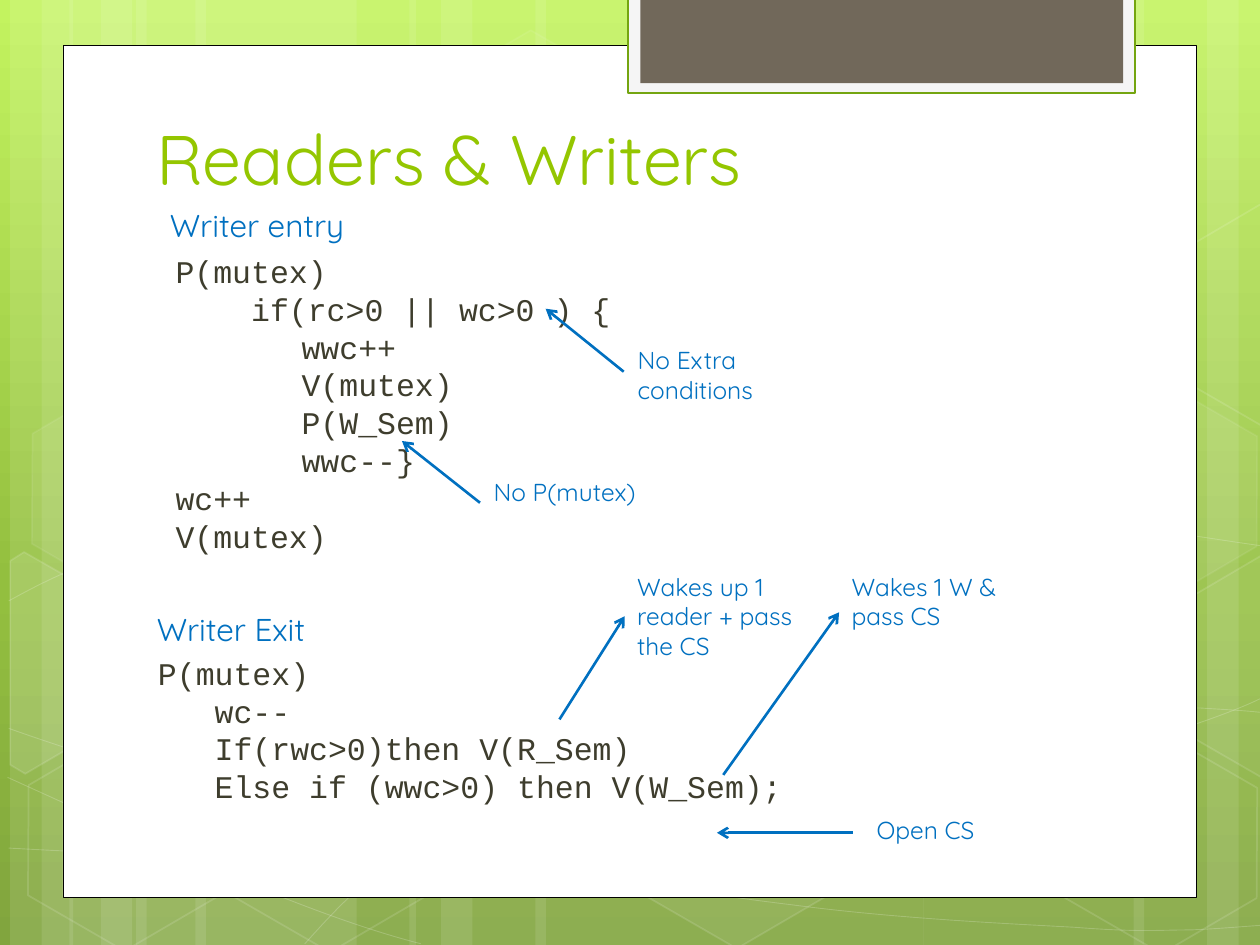
from copy import deepcopy
from dataclasses import dataclass
from math import cos, radians, sin

from lxml import etree
from pptx import Presentation
from pptx import util as u
from pptx.dml.color import RGBColor
from pptx.enum import shapes, text
from pptx.oxml.ns import qn

WHITE, GREEN, BLUE, CODE_INK = "FFFFFF", "94C600", "0070C0", "3E3D2D"
SANS, MONO = "Quicksand", "Courier New"
CHAR = 10.8  # width of one 18 pt monospaced character
TILT = 30


@dataclass
class Hexagon:
    left: float
    top: float
    fill_alpha: int
    line_alpha: int


@dataclass
class CutHexagon:
    points: list
    centre: tuple
    fill_alpha: int


@dataclass
class Note:
    words: str
    box: tuple
    start: tuple
    end: tuple


HEXAGONS = [
    Hexagon(240.5, 25.9, 4, 8), Hexagon(357.8, 424.1, 6, 12),
    Hexagon(7.9, 425.5, 0, 12), Hexagon(10.1, 224.6, 7, 8),
    Hexagon(125.3, 426.2, 0, 12), Hexagon(542.2, 326.2, 10, 12),
    Hexagon(600.5, 427, 0, 12), Hexagon(600.5, 226.1, 7, 8),
]

# Bezier chains: a start point, then three points for each segment
CURVES = [
    [(5, 484.6), (43.9, 486.7), (82.8, 488.9), (136.8, 488.2), (190.8, 487.4),
     (257.8, 486), (329.8, 478.8), (401.8, 471.6), (504, 457.9), (570.2, 444.2),
     (635.8, 430.6), (703.4, 409), (725, 396.7)],
    [(5, 343.4), (25.9, 331.9), (46.8, 321.1), (87.1, 310.3), (128.2, 299.5),
     (186.5, 283.7), (249.8, 278.6), (313.9, 273.6), (391.7, 272.9), (470.9, 278.6),
     (550.1, 284.4), (681.8, 306.7), (725, 312.5)],
    [(4.3, 444.2), (91.4, 483.8), (177.8, 523.4), (240.5, 539.3)],
    [(5, 416.2), (27.4, 424.1), (50.4, 432), (92.2, 443.5), (133.9, 454.3),
     (196.6, 472.3), (257, 484.6), (316.8, 496.8), (392.4, 509.8), (452.2, 517),
     (511.9, 524.9), (576, 527.8), (614.2, 529.9), (651.6, 532.8), (661.7, 531.4),
     (680.4, 531.4), (699.1, 530.6), (712.1, 529.2), (725, 528.5)],
    [(174.2, 539.3), (187.2, 524.9), (200.2, 510.5), (217.4, 497.5), (234.7, 484.6),
     (259.2, 470.2), (279.4, 460.1), (299.5, 450), (311.8, 445.7), (338.4, 438.5),
     (364.3, 431.3), (412.6, 421.2), (437.8, 416.2), (463.7, 411.1), (467.3, 411.1),
     (489.6, 409.7), (511.9, 407.5), (547.2, 405.4), (571.7, 404.6), (596.9, 403.9),
     (637.9, 404.6), (637.9, 404.6), (654, 404.6), (670, 404.6), (686.2, 404.6),
     (699.1, 405.4), (711.4, 406.1), (717.8, 406.8), (724.3, 407.5), (722.2, 406.8),
     (724.3, 407.5)],
]
LEFT_CUT = [(5.8, 320.4), (13.7, 315.4), (69.1, 347), (68.4, 410.4), (14.4, 442.1), (5.8, 437)]
RIGHT_CUT = [(666.7, 349.2), (720.7, 317.5), (726.5, 321.1), (726.5, 441.4),
             (721.4, 444.2), (666.7, 412.6)]
CUTS = [CutHexagon(LEFT_CUT, (25.9, 385.2), 10), CutHexagon(RIGHT_CUT, (709.2, 374.4), 4),
        CutHexagon([(x, y - 201) for x, y in RIGHT_CUT], (709.2, 173.4), 0)]

NOTES = [
    Note("No Extra conditions", (357.3, 193.7, 114, 41), (356.4, 212.4), (311.8, 176.4)),
    Note("Wakes up 1 reader + pass the CS", (357, 323.3, 121, 58), (319.7, 411.1), (357, 352.1)),
    Note("No P(mutex)", (275, 268.9, 114, 24.5), (274.3, 287.3), (229.7, 252)),
    Note("Wakes 1 W & pass CS", (479.5, 323.3, 121, 41), (413.3, 442.8), (479.5, 349.9)),
    Note("Open CS", (493.9, 462.2, 114, 24.5), (487.4, 475.9), (409.7, 475.9)),
]

# Code lines: indent in characters, text
ENTRY = [(0, "P(mutex)"), (4, "if(rc>0 || wc>0 ) {"), (6.67, "wwc++"), (6.67, "V(mutex)"),
         (6.67, "P(W_Sem)"), (6.67, "wwc--}"), (0, "wc++"), (0, "V(mutex)")]
EXIT = [(0, "P(mutex)"), (3, "wc--"), (3, "If(rwc>0)then V(R_Sem)"),
        (3, "Else if (wwc>0) then V(W_Sem);")]


def colour(value: str) -> RGBColor:
    """Turn a hex string into a colour."""
    return RGBColor.from_string(value)


def paint(shape, fill: str = "", line: str = "", weight: float = 1,
          fill_alpha: int = 100, line_alpha: int = 100) -> None:
    """Set fill and line, with opacity in percent, and drop the shadow."""
    shape.shadow.inherit = False
    for part, value, alpha in ((shape.fill, fill, fill_alpha),
                               (shape.line.fill, line, line_alpha)):
        if value and alpha:
            part.solid()
            part.fore_color.rgb = colour(value)
        else:
            part.background()
    if line:
        shape.line.width = u.Pt(weight)
    properties = shape.element.spPr
    for parent, alpha in ((properties, fill_alpha), (properties.find(qn("a:ln")), line_alpha)):
        tint = parent.find(f"{qn('a:solidFill')}/{qn('a:srgbClr')}")
        if tint is not None and alpha < 100:
            etree.SubElement(tint, qn("a:alpha"), val=str(alpha * 1000))


def add_block(page, kind, box: tuple, **look):
    """Add a painted preset shape."""
    shape = page.shapes.add_shape(kind, *map(u.Pt, box))
    paint(shape, **look)
    return shape


def add_outline(page, corners: list, closed: bool):
    """Add a freeform through the corners."""
    points = [(u.Pt(x), u.Pt(y)) for x, y in corners]
    builder = page.shapes.build_freeform(*points[0])
    builder.add_line_segments(points[1:], close=closed)
    return builder.convert_to_shape()


def add_curve(page, chain: list) -> None:
    """Draw a faint Bezier chain."""
    shape = add_outline(page, chain, closed=False)
    steps = list(shape.element.iter(qn("a:lnTo")))
    for first in range(0, len(steps), 3):
        bend = etree.Element(qn("a:cubicBezTo"))
        steps[first].addprevious(bend)
        for step in steps[first:first + 3]:
            bend.append(step[0])
            step.getparent().remove(step)
    paint(shape, line=WHITE, weight=0.5, line_alpha=20)


def add_cut_hexagon(page, cut: CutHexagon) -> None:
    """Draw a tilted hexagon that the page edge cuts off."""
    (mid_x, mid_y), cosine, sine = cut.centre, cos(radians(TILT)), sin(radians(TILT))
    corners = [(mid_x + (x - mid_x) * cosine + (y - mid_y) * sine,
                mid_y - (x - mid_x) * sine + (y - mid_y) * cosine) for x, y in cut.points]
    shape = add_outline(page, corners, closed=True)
    shape.rotation = TILT
    paint(shape, fill=WHITE, line=WHITE, fill_alpha=cut.fill_alpha, line_alpha=12)


def add_hexagon(page, item: Hexagon) -> None:
    """Draw a tilted translucent hexagon."""
    shape = add_block(page, shapes.MSO_SHAPE.HEXAGON, (item.left, item.top, 126, 109.4),
                      fill=WHITE, line=WHITE, fill_alpha=item.fill_alpha,
                      line_alpha=item.line_alpha)
    shape.rotation = TILT
    shape.adjustments[0] = 0.285


def add_text(page, box: tuple, lines: list, *, size: float = 18, font: str = SANS,
             ink: str = BLUE, margin: float = 0, align=text.PP_ALIGN.LEFT,
             anchor=text.MSO_ANCHOR.TOP) -> None:
    """Add a text box from (indent in characters, text) lines."""
    frame = page.shapes.add_textbox(*map(u.Pt, box)).text_frame
    frame.word_wrap = True
    frame.vertical_anchor = anchor
    for number, (indent, words) in enumerate(lines):
        para = frame.add_paragraph() if number else frame.paragraphs[0]
        para.alignment = align
        para._p.get_or_add_pPr().set("marL", str(u.Pt(margin + indent * CHAR)))
        span = para.add_run()
        span.text = words
        span.font.size, span.font.name = u.Pt(size), font
        span.font.color.rgb = colour(ink)


def add_arrow(page, start: tuple, end: tuple) -> None:
    """Draw a blue arrow."""
    arrow = page.shapes.add_connector(shapes.MSO_CONNECTOR.STRAIGHT, *map(u.Pt, start + end))
    arrow.line.color.rgb = colour(BLUE)
    arrow.line.width = u.Pt(1.5)
    etree.SubElement(arrow.element.spPr.find(qn("a:ln")), qn("a:tailEnd"), type="arrow")
    etree.SubElement(arrow.element.spPr, qn("a:effectLst"))


def set_background(page, stops: list) -> None:
    """Fill the page with a gradient from top to bottom."""
    fill = page.background.fill
    fill.gradient()
    fill.gradient_angle = 270
    first = page.element.find(f".//{qn('a:gs')}")
    first.addnext(deepcopy(first))
    for stop, (position, value) in zip(fill.gradient_stops, stops):
        stop.position, stop.color.rgb = position, colour(value)


def add_bands(page) -> None:
    """Draw translucent vertical bands in four groups of three."""
    for edge, wide, mirrored in ((5.8, 126, False), (39.6, 126, False),
                                 (725.8, 126, True), (234, 222, False)):
        for offset, width in ((72, wide), (0, 36), (18, 60)):
            left = edge - offset - width if mirrored else edge + offset
            add_block(page, shapes.MSO_SHAPE.RECTANGLE, (left, 0, width, 540),
                      fill=WHITE, fill_alpha=10)


def main() -> None:
    """Build the slide and save it."""
    deck = Presentation()
    deck.slide_width, deck.slide_height = u.Pt(720), u.Pt(540)
    page = deck.slides.add_slide(deck.slide_layouts[6])
    set_background(page, [(0, "C3F35F"), (0.62, "93BF3F"), (1, "81A53E")])
    add_bands(page)
    for draw, items in ((add_curve, CURVES), (add_hexagon, HEXAGONS), (add_cut_hexagon, CUTS)):
        for item in items:
            draw(page, item)
    kind = shapes.MSO_SHAPE.RECTANGLE
    add_block(page, kind, (36, 25.9, 648, 487), fill=WHITE, line="000000", weight=0.5)
    add_block(page, kind, (359.1, -1.5, 289.6, 54.7), fill="F5F5F5", line="74A510", weight=1.25)
    add_block(page, kind, (366, -1.5, 275.8, 49), fill="71685A")

    add_text(page, (82.3, 27.4, 553, 90), [(0, "Readers & Writers")], size=40, ink=GREEN,
             anchor=text.MSO_ANCHOR.BOTTOM)
    add_text(page, (90, 114, 132, 29), [(0, "Writer entry")])
    add_text(page, (66, 344.9, 132, 29), [(0, "Writer Exit")], align=text.PP_ALIGN.CENTER)
    for box, lines in (((87.8, 140.4, 541, 209), ENTRY), ((77.8, 370, 534, 140), EXIT)):
        add_text(page, box, lines, font=MONO, ink=CODE_INK, margin=5.4)
    for note in NOTES:
        add_arrow(page, note.start, note.end)
        add_text(page, note.box, [(0, note.words)], size=14)
    deck.save("out.pptx")


main()
